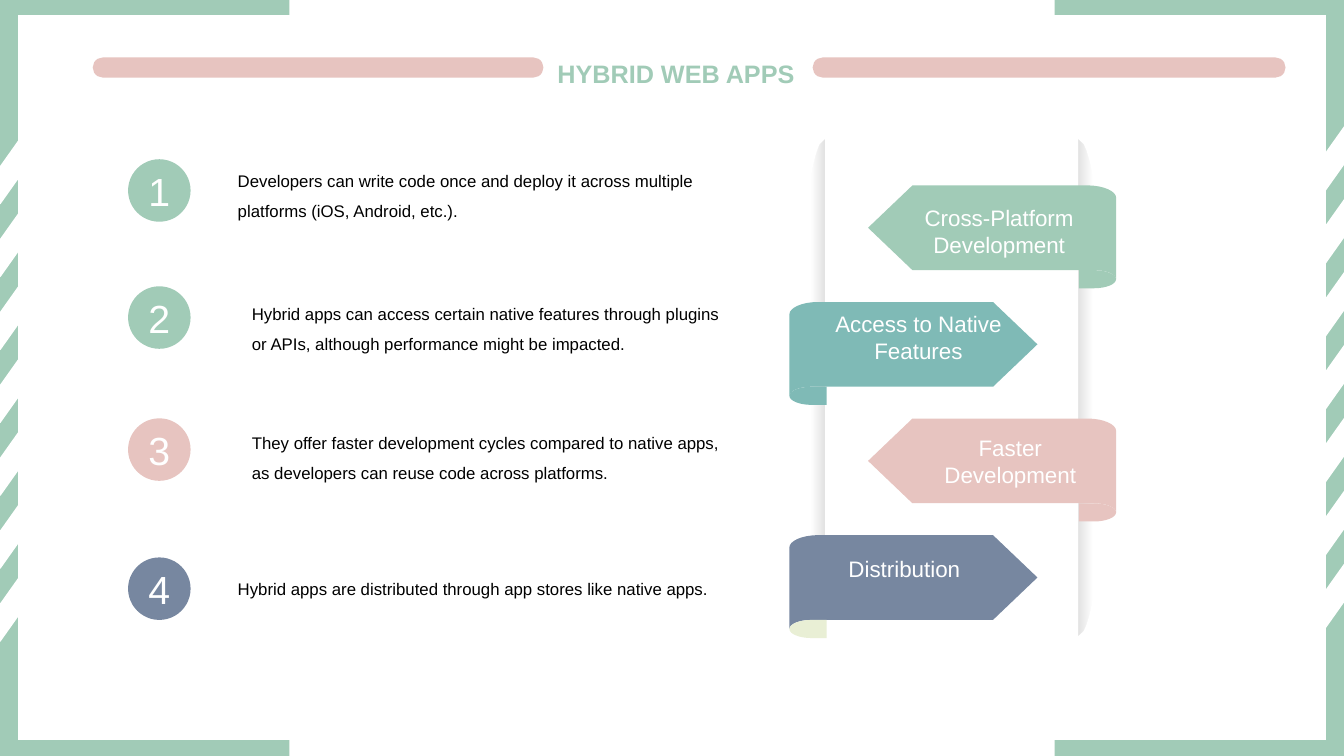
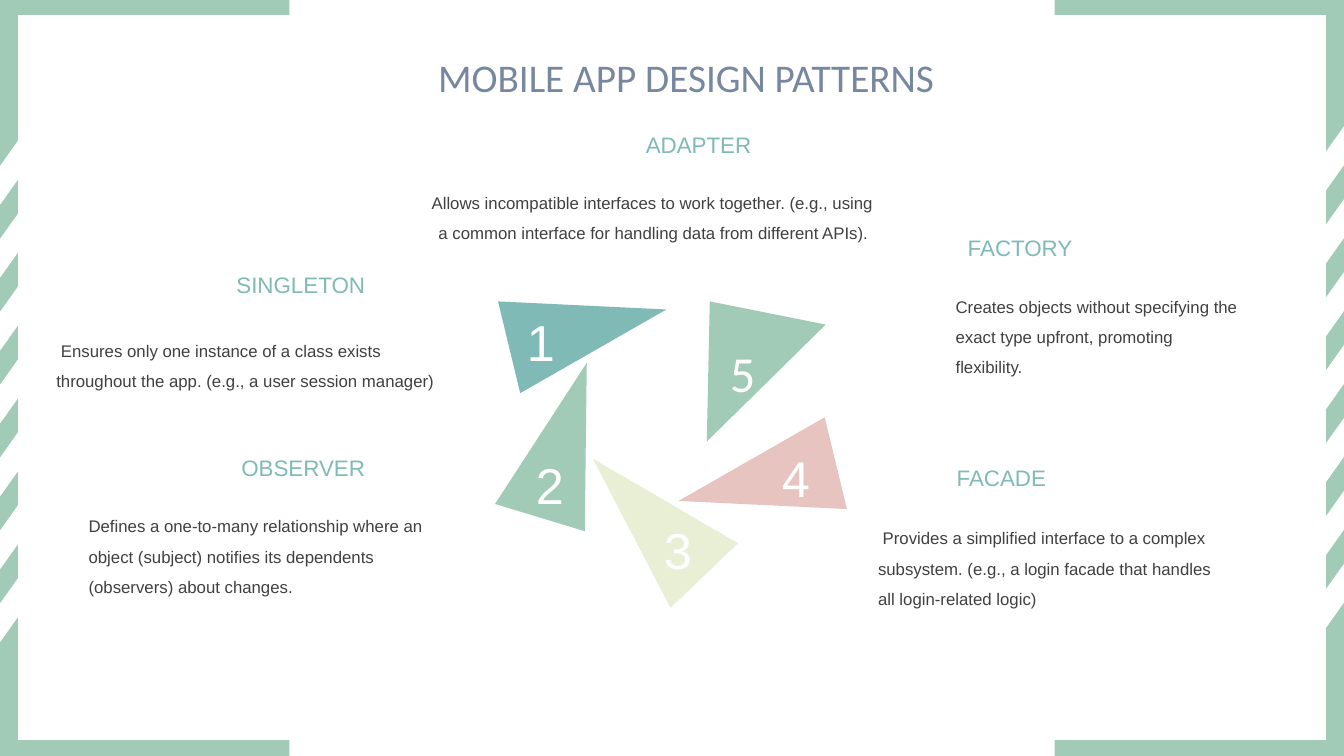
"""Builds two slides on hybrid web apps and mobile design patterns."""
from lxml import etree
from pptx import Presentation
from pptx.dml.color import RGBColor
from pptx.enum.shapes import MSO_SHAPE
from pptx.enum.text import MSO_ANCHOR, PP_ALIGN
from pptx.oxml import parse_xml
from pptx.oxml.ns import nsdecls, qn
from pptx.util import Inches, Pt

RECTANGLE, PILL = MSO_SHAPE.RECTANGLE, MSO_SHAPE.ROUNDED_RECTANGLE
OVAL, SLANT = MSO_SHAPE.OVAL, MSO_SHAPE.PARALLELOGRAM
LEFT, CENTER, RIGHT = PP_ALIGN.LEFT, PP_ALIGN.CENTER, PP_ALIGN.RIGHT
TOP, MIDDLE = MSO_ANCHOR.TOP, MSO_ANCHOR.MIDDLE

COLORS = {
    "green": "A1CBB7", "teal": "7FBAB6", "pink": "E7C4C0", "slate": "7787A0",
    "cream": "E9EFD5", "white": "FFFFFF", "black": "000000", "gray": "404040",
    "shade": "808080",
}
SLIDE_WIDTH, SLIDE_HEIGHT = 13.33, 7.5

FRAME = [
    ((0, 0, SLIDE_WIDTH, SLIDE_HEIGHT), "green"),
    ((2.87, 0, 7.59, SLIDE_HEIGHT), "white"),
    ((0.18, 0.15, 12.97, 7.19), "white"),
]
STRIPE_LEFTS, STRIPE_COUNT = (-0.24, 12.81), 7
STRIPE_TOP, STRIPE_LAST = 1.49, 5.83

TITLE_BARS = [(0.92, 0.57, 4.47, 0.2), (8.06, 0.57, 4.69, 0.2)]
BENEFITS = [
    ("Developers can write code once and deploy it across multiple platforms "
     "(iOS, Android, etc.).", (2.26, 1.54, 5, 0.71), 1.58, "green"),
    ("Hybrid apps can access certain native features through plugins or APIs, "
     "although performance might be impacted.", (2.4, 2.86, 5, 0.71), 2.84, "green"),
    ("They offer faster development cycles compared to native apps, as developers "
     "can reuse code across platforms.", (2.4, 4.14, 5, 0.71), 4.15, "pink"),
    ("Hybrid apps are distributed through app stores like native apps.",
     (2.26, 5.59, 5, 0.4), 5.53, "slate"),
]
RIBBONS = [
    ("Cross-Platform Development", (8.86, 1.98, 2.1, 0.64), "green", "green"),
    ("Access to Native Features", (8.06, 3.03, 2.1, 0.64), "teal", "teal"),
    ("Faster Development", (8.97, 4.26, 2.1, 0.65), "pink", "pink"),
    ("Distribution", (7.92, 5.46, 2.1, 0.37), "slate", "cream"),
]
RIBBON_TOP, RIBBON_LAST = 1.84, 5.31
RIBBON_LEFT_EDGE, RIBBON_RIGHT_EDGE = 7.83, 11.07
RIBBON_OUTLINE = [
    (0.28, 0), (2.02, 0), (2.46, 0.42), (2.02, 0.84), (0.22, 0.84),
    (0.1, 0.84, 0, 0.88, 0, 0.93), (0, 0.12), (0, 0.06, 0.12, 0, 0.28, 0),
]
FOLD_OUTLINE = [
    (0.22, 0.84), (0.37, 0.84), (0.37, 1.02), (0.22, 1.02),
    (0.1, 1.02, 0, 0.98, 0, 0.93), (0, 0.88, 0.1, 0.84, 0.22, 0.84),
]
SHADE_OUTLINE = [
    (0, 0), (0, 4.91), (0.05, 4.86), (0.17, 4.63, 0.27, 3.64, 0.27, 2.46),
    (0.27, 1.27, 0.17, 0.28, 0.05, 0.05),
]
SHADES = [(8.18, True, 180), (10.7, False, 0)]

PATTERNS = [
    ("ADAPTER", (6.3, 1.25, 1.25, 0.37), RIGHT,
     "Allows incompatible interfaces to work together. (e.g., using a common "
     "interface for handling data from different APIs). ", (4.17, 1.76, 4.59, 0.71), RIGHT),
    ("SINGLETON", (2.24, 2.64, 1.48, 0.37), RIGHT,
     " Ensures only one instance of a class exists throughout the app. "
     "(e.g., a user session manager)", (0.46, 3.23, 4.25, 0.71), LEFT),
    ("OBSERVER", (2.29, 4.46, 1.43, 0.37), RIGHT,
     "Defines a one-to-many relationship where an object (subject) notifies its "
     "dependents (observers) about changes.", (0.78, 4.97, 3.81, 1.01), LEFT),
    ("FACTORY", (9.5, 2.27, 1.24, 0.37), LEFT,
     "Creates objects without specifying the exact type upfront, promoting "
     "flexibility.", (9.38, 2.79, 3.04, 0.71), LEFT),
    ("FACADE", (9.39, 4.56, 1.09, 0.37), LEFT,
     " Provides a simplified interface to a complex subsystem. (e.g., a login "
     "facade that handles all login-related logic)", (8.61, 5.09, 3.69, 1.01), LEFT),
]
BLADES = [
    ([(5.16, 3.9), (4.94, 2.99), (6.61, 3.07)], "teal", (4.95, 3.04, 0.83, 0.71), "Arial", CENTER),
    ([(5.8, 5.27), (4.91, 5), (5.82, 3.6)], "green", (5.04, 4.46, 0.83, 0.71), "Arial", CENTER),
    ([(7.32, 5.39), (6.65, 6.03), (5.88, 4.55)], "cream", (6.31, 5.1, 0.83, 0.71), "Arial", CENTER),
    ([(8.18, 4.14), (8.4, 5.05), (6.73, 4.97)], "pink", (7.48, 4.39, 0.83, 0.71), "Arial", CENTER),
    ([(7.04, 2.99), (8.19, 3.22), (7.01, 4.38)], "green", (7.14, 3.34, 0.4, 0.71), "Calibri", LEFT),
]


def rgb(name):
    return RGBColor.from_string(COLORS[name])


def spread(first, last, count):
    """Returns evenly spaced positions from first to last."""
    return [first + index * (last - first) / (count - 1) for index in range(count)]


def write(shape, text, size=12, font="Arial", color="black", bold=False,
          align=LEFT, spacing=None, anchor=TOP, wrap=True):
    """Puts one formatted paragraph into a shape."""
    frame = shape.text_frame
    frame.word_wrap = wrap
    frame.vertical_anchor = anchor
    para = frame.paragraphs[0]
    para.alignment = align
    para.line_spacing = spacing
    span = para.add_run()
    span.text = text
    span.font.size, span.font.name, span.font.bold = Pt(size), font, bold
    span.font.color.rgb = rgb(color)


def add_text(page, place, text, **style):
    box = page.shapes.add_textbox(*map(Inches, place))
    write(box, text, **style)


def paint(shape, color):
    shape.shadow.inherit = False
    shape.fill.solid()
    shape.fill.fore_color.rgb = rgb(color)
    shape.line.fill.background()
    return shape


def add_preset(page, kind, place, color):
    return paint(page.shapes.add_shape(kind, *map(Inches, place)), color)


def add_outline(page, outline, color, left=0, top=0, mirrored=False):
    """Draws a closed outline of corners (2 numbers) and cubic curves (6 numbers)."""
    sign = -1 if mirrored else 1
    parts = [[(Inches(left + sign * x), Inches(top + y)) for x, y in zip(part[::2], part[1::2])]
             for part in outline]
    builder = page.shapes.build_freeform(*parts[0][0])
    builder.add_line_segments([part[-1] for part in parts[1:]], close=True)
    shape = builder.convert_to_shape()
    segments = list(shape.element.iter(qn("a:lnTo")))
    for part, segment in zip(parts[1:], segments):
        if len(part) == 3:
            curve = etree.Element(qn("a:cubicBezTo"))
            for x, y in part:
                etree.SubElement(curve, qn("a:pt"), x=str(x - shape.left), y=str(y - shape.top))
            segment.getparent().replace(segment, curve)
    return paint(shape, color)


def fade(shape, angle):
    """Swaps the solid fill for one that fades out halfway across."""
    stops = "".join(
        f'<a:gs pos="{position * 1000}"><a:srgbClr val="{COLORS["shade"]}">'
        f'<a:alpha val="{alpha * 1000}"/></a:srgbClr></a:gs>'
        for position, alpha in ((0, 23), (50, 0), (100, 0)))
    gradient = parse_xml(f'<a:gradFill {nsdecls("a")}><a:gsLst>{stops}</a:gsLst>'
                         f'<a:lin ang="{angle * 60000}" scaled="0"/></a:gradFill>')
    properties = shape.element.spPr
    properties.replace(properties.find(qn("a:solidFill")), gradient)


def add_frame(page, layout):
    """Draws the striped border and moves it to the layout."""
    border = [add_preset(page, RECTANGLE, place, color) for place, color in FRAME]
    for left in STRIPE_LEFTS:
        for top in spread(STRIPE_TOP, STRIPE_LAST, STRIPE_COUNT):
            stripe = add_preset(page, SLANT, (left, top, 0.77, 0.29), "white")
            stripe.adjustments[0] = 1.41
            stripe.line.color.rgb = rgb("white")
            stripe.line.width = Pt(1)
            stripe.rotation = 270
            stripe.element.spPr.find(qn("a:xfrm")).set("flipH", "1")
            border.append(stripe)
    for shape in border:
        layout.shapes.element.append(shape.element)


def add_title(page, place, text, **style):
    title = page.shapes.title
    title.left, title.top, title.width, title.height = map(Inches, place)
    write(title, text, align=CENTER, **style)


def build_hybrid(page):
    add_title(page, (4.28, 0.53, 4.85, 0.4), "HYBRID WEB APPS",
              size=18, color="green", bold=True)
    for place in TITLE_BARS:
        add_preset(page, PILL, place, "pink").adjustments[0] = 0.5
    for left, mirrored, angle in SHADES:
        fade(add_outline(page, SHADE_OUTLINE, "shade", left, 1.39, mirrored), angle)
    tops = spread(RIBBON_TOP, RIBBON_LAST, len(RIBBONS))
    for index, (label, place, color, fold_color) in enumerate(RIBBONS):
        mirrored = index % 2 == 0
        edge = RIBBON_RIGHT_EDGE if mirrored else RIBBON_LEFT_EDGE
        add_outline(page, RIBBON_OUTLINE, color, edge, tops[index], mirrored)
        add_outline(page, FOLD_OUTLINE, fold_color, edge, tops[index], mirrored)
        add_text(page, place, label, size=16, color="white", align=CENTER)
    for number, (text, place, top, color) in enumerate(BENEFITS, 1):
        badge = add_preset(page, OVAL, (1.27, top, 0.62, 0.62), color)
        write(badge, str(number), size=28, color="white", align=CENTER, anchor=MIDDLE)
        add_text(page, place, text, spacing=1.5)


def build_patterns(page):
    add_title(page, (3.63, 0.48, 6.35, 0.57), "MOBILE APP DESIGN PATTERNS",
              size=28, font="Calibri", color="slate")
    for name, name_place, name_align, text, place, align in PATTERNS:
        add_text(page, name_place, name, size=16, color="teal", align=name_align, wrap=False)
        add_text(page, place, text, color="gray", align=align, spacing=1.5)
    for number, (corners, color, place, font, align) in enumerate(BLADES, 1):
        add_outline(page, corners, color)
        add_text(page, place, str(number), size=36, font=font, color="white", align=align)


def main():
    deck = Presentation()
    deck.slide_width, deck.slide_height = Inches(SLIDE_WIDTH), Inches(SLIDE_HEIGHT)
    layout = deck.slide_layouts.get_by_name("Title Only")
    for holder in list(layout.placeholders)[1:]:
        layout.shapes.element.remove(holder.element)
    pages = [deck.slides.add_slide(layout) for _ in range(2)]
    add_frame(pages[0], layout)
    build_hybrid(pages[0])
    build_patterns(pages[1])
    deck.save("out.pptx")


if __name__ == "__main__":
    main()
